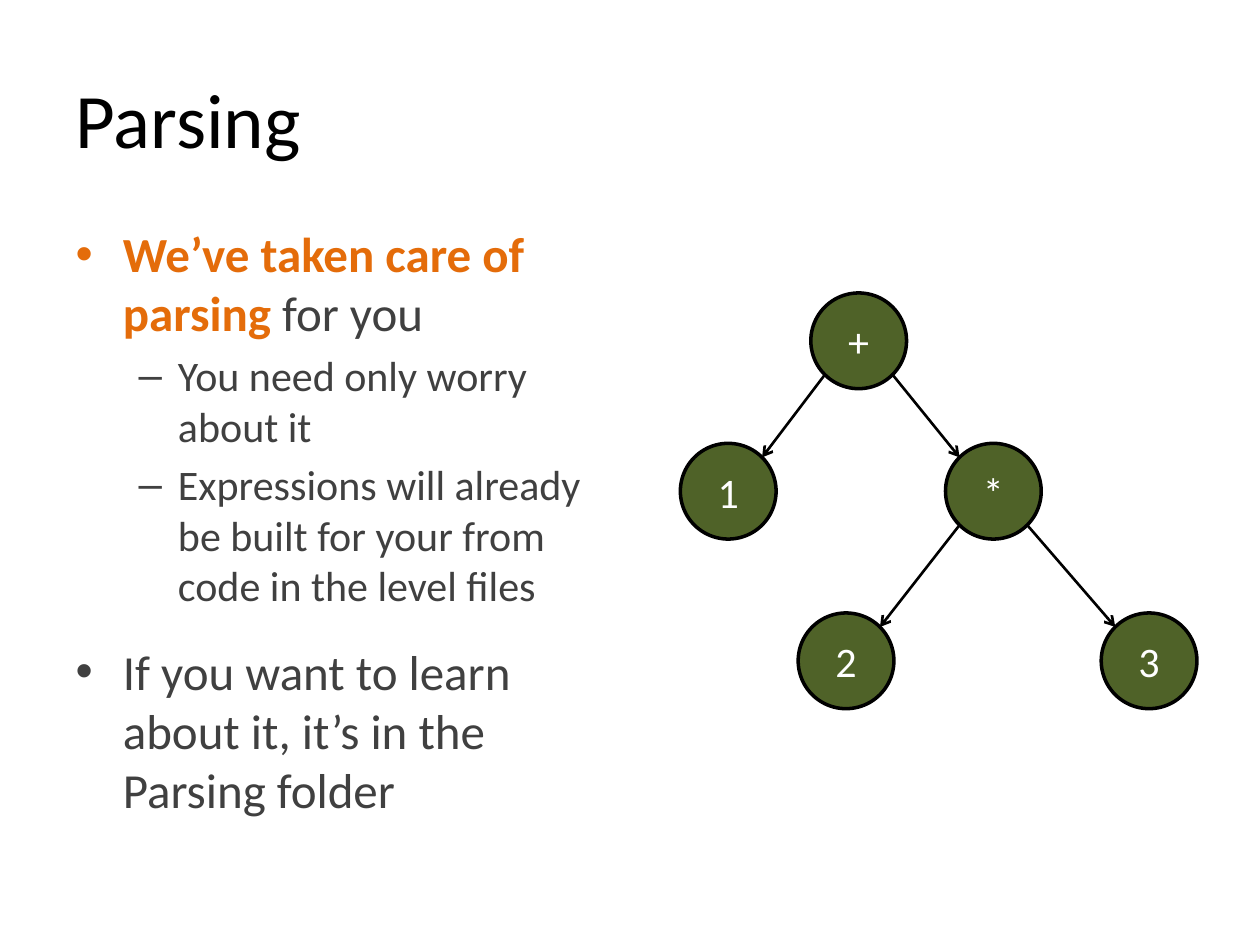
from math import sqrt

from lxml.etree import SubElement
from pptx import Presentation
from pptx.dml.color import RGBColor
from pptx.enum.shapes import MSO_CONNECTOR, MSO_SHAPE
from pptx.enum.text import MSO_ANCHOR, MSO_AUTO_SIZE, PP_ALIGN
from pptx.oxml.ns import qn
from pptx.util import Inches, Pt

FONT = "Calibri"
BLACK, WHITE, GREY, ORANGE, GREEN = "000000", "FFFFFF", "404040", "E46C0A", "4F6228"
NODE_SIZE = Inches(0.76)

BULLETS = [
    (0, 28, [("We’ve taken care of parsing ", ORANGE, True), ("for you", GREY, False)]),
    (1, 24, [("You need only worry about it", GREY, False)]),
    (1, 24, [("Expressions will already be built for your from code in the level files", GREY, False)]),
    (0, 28, [("If you want to learn about it, it’s in the Parsing folder", GREY, False)]),
]
NODES = {"+": (0.31, 0), "1": (0, 0.47), "*": (0.63, 0.47), "2": (0.28, 1), "3": (1, 1)}
EDGES = [("+", "1"), ("+", "*"), ("*", "2"), ("*", "3")]


def color(hex_string):
    return RGBColor.from_string(hex_string)


def style(run, size, hex_string, bold=False):
    run.font.name = FONT
    run.font.size = Pt(size)
    run.font.bold = bold
    run.font.color.rgb = color(hex_string)


def place(shape, box):
    shape.left, shape.top, shape.width, shape.height = box


def write_title(title, box):
    place(title, box)
    title.text_frame.text = "Parsing"
    title.text_frame.vertical_anchor = MSO_ANCHOR.MIDDLE
    heading = title.text_frame.paragraphs[0]
    heading.alignment = PP_ALIGN.LEFT
    style(heading.runs[0], 44, BLACK)


def write_bullets(body, box):
    place(body, box)
    frame = body.text_frame
    frame.auto_size = MSO_AUTO_SIZE.NONE
    for index, (level, size, phrases) in enumerate(BULLETS):
        bullet = frame.add_paragraph() if index else frame.paragraphs[0]
        bullet.level = level
        for phrase, hex_string, bold in phrases:
            run = bullet.add_run()
            run.text = phrase
            style(run, size, hex_string, bold)
    frame.paragraphs[-1].space_before = Pt(18)


def draw_node(slide, symbol, left, top):
    node = slide.shapes.add_shape(MSO_SHAPE.OVAL, left, top, NODE_SIZE, NODE_SIZE)
    node.shadow.inherit = False
    node.fill.solid()
    node.fill.fore_color.rgb = color(GREEN)
    node.line.color.rgb = color(BLACK)
    node.line.width = Pt(2)
    node.text_frame.text = symbol
    node.text_frame.vertical_anchor = MSO_ANCHOR.MIDDLE
    label = node.text_frame.paragraphs[0]
    label.alignment = PP_ALIGN.CENTER
    style(label.runs[0], 24, WHITE)
    return node


def draw_arrow(slide, parent, child):
    radius = NODE_SIZE / 2
    reach = radius / sqrt(2)
    side = reach if child.left > parent.left else -reach
    start = parent.left + radius + side, parent.top + radius + reach
    end = child.left + radius - side, child.top + radius - reach
    arrow = slide.shapes.add_connector(MSO_CONNECTOR.STRAIGHT, *map(round, start + end))
    arrow.line.color.rgb = color(BLACK)
    arrow.line.width = Pt(1.5)
    SubElement(arrow.line._get_or_add_ln(), qn("a:tailEnd"), type="arrow")
    SubElement(arrow._element.spPr, qn("a:effectLst"))


def draw_tree(slide, box):
    left, top, width, height = box
    nodes = {
        symbol: draw_node(
            slide,
            symbol,
            round(left + across * (width - NODE_SIZE)),
            round(top + down * (height - NODE_SIZE)),
        )
        for symbol, (across, down) in NODES.items()
    }
    for parent, child in EDGES:
        draw_arrow(slide, nodes[parent], nodes[child])


def main():
    deck = Presentation()
    deck.slide_width, deck.slide_height = Inches(10), Inches(7.5)

    def region(left, top, width, height):
        return (
            round(left * deck.slide_width),
            round(top * deck.slide_height),
            round(width * deck.slide_width),
            round(height * deck.slide_height),
        )

    slide = deck.slides.add_slide(deck.slide_layouts[1])
    write_title(slide.shapes.title, region(0.05, 0.04, 0.9, 0.17))
    write_bullets(slide.placeholders[1], region(0.05, 0.23, 0.44, 0.72))
    draw_tree(slide, region(0.54, 0.31, 0.41, 0.44))
    deck.save("out.pptx")


if __name__ == "__main__":
    main()
